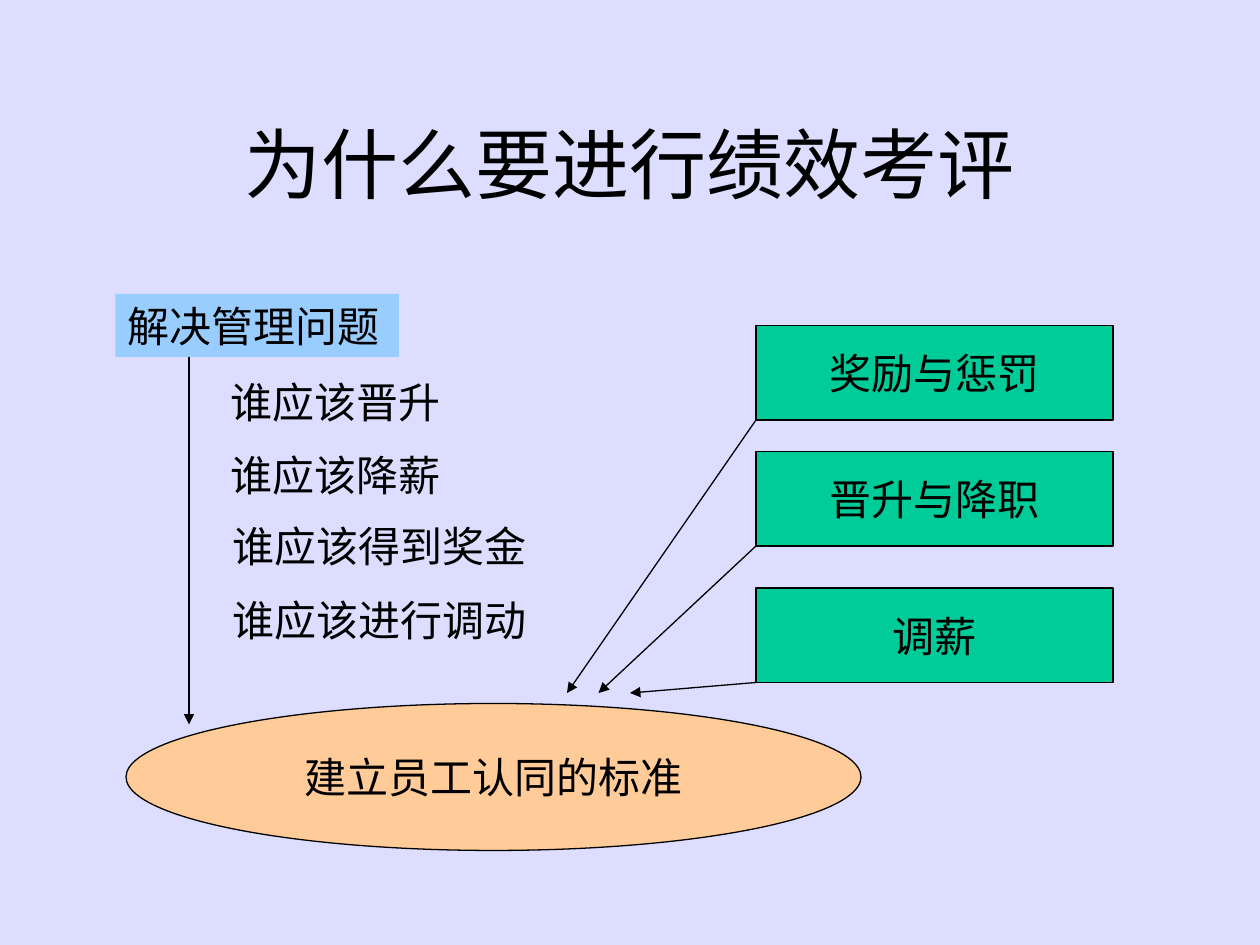
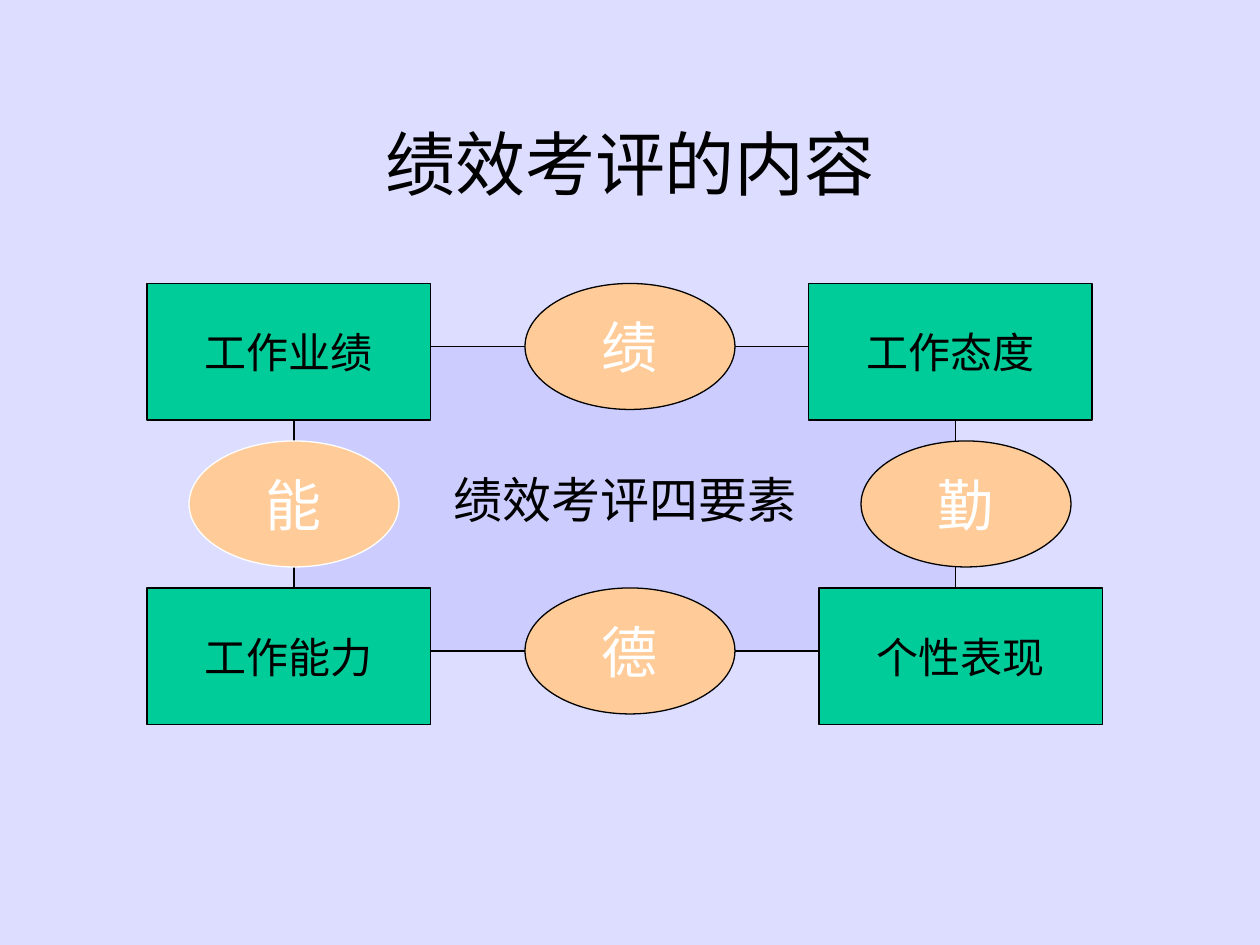
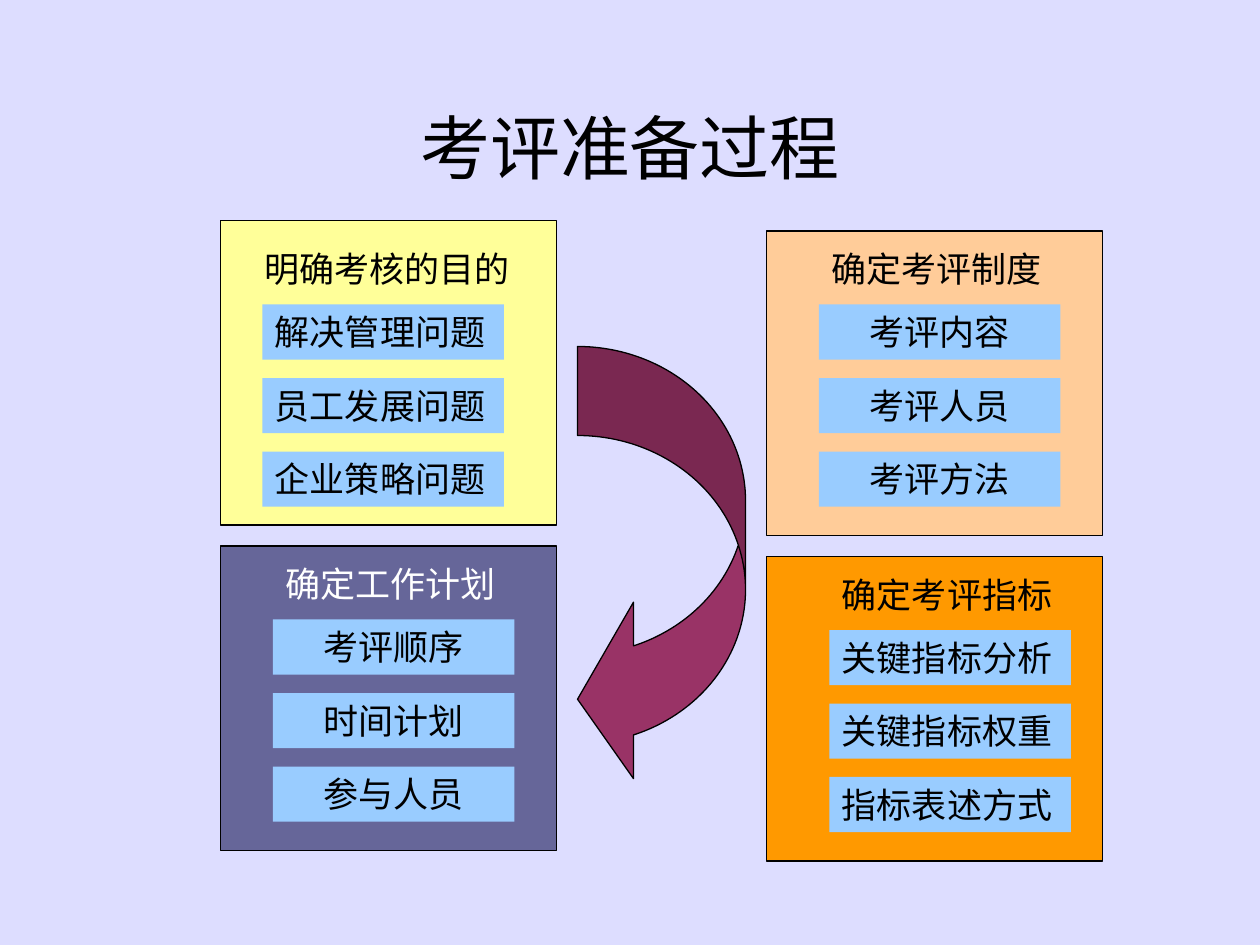
from dataclasses import dataclass

from lxml.etree import SubElement
from pptx import Presentation
from pptx.dml.color import RGBColor
from pptx.enum.shapes import MSO_CONNECTOR as Connector, MSO_SHAPE as Preset
from pptx.enum.text import MSO_ANCHOR as Anchor, MSO_AUTO_SIZE as AutoSize, PP_ALIGN as Align
from pptx.oxml.ns import qn
from pptx.util import Pt


@dataclass(frozen=True)
class Theme:
    font: str = "Times New Roman"
    background: str = "DDDDFF"
    ink: str = "000000"
    white: str = "FFFFFF"
    green: str = "00CC99"
    peach: str = "FFCC99"
    sky: str = "99CCFF"
    lavender: str = "CCCCFF"
    yellow: str = "FFFF99"
    slate: str = "666699"
    orange: str = "FF9900"
    plum: str = "993366"
    line: float = 0.75
    title_large: int = 44
    title: int = 40
    element: int = 32
    centre: int = 28
    body: int = 24
    small: int = 20


THEME = Theme()
INSET = 7.2
LABEL_SLACK = 2  # keeps a label's last character on its line

# Slide 1: why appraise
WHY_TITLE = "为什么要进行绩效考评"
PROBLEM = "解决管理问题"
QUESTIONS = [
    ("谁应该晋升", 124.5, 211.5),
    ("谁应该降薪", 124.5, 253.5),
    ("谁应该得到奖金", 126, 294),
    ("谁应该进行调动", 126, 336),
]
STANDARD = "建立员工认同的标准"
MEASURE_LEFT, MEASURE_WIDTH, MEASURE_HEIGHT = 432, 204, 54
ARROW_END_TOP = 396
MEASURES = [  # text, top, x of the arrow's end
    ("奖励与惩罚", 186, 324),
    ("晋升与降职", 258, 342),
    ("调薪", 336, 360),
]

# Slide 2: what is appraised
CONTENT_TITLE = "绩效考评的内容"
CENTRE = "绩效考评四要素"
ASPECTS = [
    ("工作业绩", 84, 162),
    ("工作态度", 462, 162),
    ("工作能力", 84, 336),
    ("个性表现", 468, 336),
]
ELEMENTS = [
    ("绩", 300, 162, THEME.ink),
    ("勤", 492, 252, THEME.ink),
    ("德", 300, 336, THEME.ink),
    ("能", 108, 252, THEME.white),
]

# Slide 3: preparation
PREPARE_TITLE = "考评准备过程"
CARD_WIDTH, CARD_HEIGHT = 192, 174
BAR_WIDTH, BAR_HEIGHT, BAR_STEP, HEADING_STEP = 138, 31.5, 42, 36
STEPS = [
    dict(heading="确定考评指标", card=(438, 318), heading_at=(474, 324), bar_left=474,
         fill=THEME.orange, color=THEME.ink, align=Align.LEFT,
         items=["关键指标分析", "关键指标权重", "指标表述方式"]),
    dict(heading="确定工作计划", card=(126, 312), heading_at=(156, 318), bar_left=156,
         fill=THEME.slate, color=THEME.white, align=Align.CENTER,
         items=["考评顺序", "时间计划", "参与人员"]),
    dict(heading="确定考评制度", card=(438, 132), heading_at=(468, 138), bar_left=468,
         fill=THEME.peach, color=THEME.ink, align=Align.CENTER,
         items=["考评内容", "考评人员", "考评方法"]),
    dict(heading="明确考核的目的", card=(126, 126), heading_at=(144, 138), bar_left=150,
         fill=THEME.yellow, color=THEME.ink, align=Align.LEFT,
         items=["解决管理问题", "员工发展问题", "企业策略问题"]),
]


def rgb(color):
    return RGBColor.from_string(color)


def write(shape, text, size, color=THEME.ink, align=Align.CENTER):
    paragraph = shape.text_frame.paragraphs[0]
    paragraph.alignment = align
    run = paragraph.add_run()
    run.text = text
    run.font.name = THEME.font
    run.font.size = Pt(size)
    run.font.color.rgb = rgb(color)


def add_titled_slide(presentation, text, size=THEME.title, height=90):
    slide = presentation.slides.add_slide(presentation.slide_layouts[5])
    title = slide.shapes.title
    title.left, title.top, title.width, title.height = Pt(54), Pt(48), Pt(612), Pt(height)
    title.text_frame.auto_size = AutoSize.NONE
    title.text_frame.vertical_anchor = Anchor.MIDDLE
    write(title, text, size)
    return slide


def add_figure(slide, preset, left, top, width, height, fill, line=THEME.ink):
    shape = slide.shapes.add_shape(preset, Pt(left), Pt(top), Pt(width), Pt(height))
    shape.shadow.inherit = False
    shape.fill.solid()
    shape.fill.fore_color.rgb = rgb(fill)
    if line:
        shape.line.color.rgb = rgb(line)
        shape.line.width = Pt(THEME.line)
    else:
        shape.line.fill.background()
    shape.text_frame.word_wrap = False
    return shape


def add_bar(slide, text, left, top, width, height, size, align=Align.LEFT):
    """Add a borderless blue strip whose text starts at the top."""
    bar = add_figure(slide, Preset.RECTANGLE, left, top, width, height, THEME.sky, None)
    bar.text_frame.word_wrap = True
    bar.text_frame.vertical_anchor = Anchor.TOP
    write(bar, text, size, align=align)


def add_label(slide, text, left, top, size, color=THEME.ink):
    """Add one line of text in a box as wide as its full-width characters."""
    width, height = len(text) * size + 2 * INSET + LABEL_SLACK, 1.2 * size + INSET
    label = slide.shapes.add_textbox(Pt(left), Pt(top), Pt(width), Pt(height))
    label.text_frame.word_wrap = False
    label.text_frame.auto_size = AutoSize.SHAPE_TO_FIT_TEXT
    write(label, text, size, color, Align.LEFT)


def add_arrow(slide, *ends):
    arrow = slide.shapes.add_connector(Connector.STRAIGHT, *map(Pt, ends))
    arrow.line.color.rgb = rgb(THEME.ink)
    arrow.line.width = Pt(THEME.line)
    SubElement(arrow.line._get_or_add_ln(), qn("a:tailEnd"), type="triangle")
    SubElement(arrow._element.spPr, qn("a:effectLst"))


def build_why(presentation):
    slide = add_titled_slide(presentation, WHY_TITLE, THEME.title_large)
    add_bar(slide, PROBLEM, 66, 168, 162, 36, THEME.body)
    for text, left, top in QUESTIONS:
        add_label(slide, text, left, top, THEME.body)
    standard = add_figure(slide, Preset.OVAL, 72, 402, 420, 84, THEME.peach)
    write(standard, STANDARD, THEME.body)
    for text, top, arrow_end in MEASURES:
        box = add_figure(slide, Preset.RECTANGLE, MEASURE_LEFT, top,
                         MEASURE_WIDTH, MEASURE_HEIGHT, THEME.green)
        write(box, text, THEME.body)
        add_arrow(slide, MEASURE_LEFT, top + MEASURE_HEIGHT, arrow_end, ARROW_END_TOP)
    add_arrow(slide, 108, 204, 108, 414)


def build_content(presentation):
    slide = add_titled_slide(presentation, CONTENT_TITLE)
    centre = add_figure(slide, Preset.RECTANGLE, 168, 198, 378, 174, THEME.lavender)
    write(centre, CENTRE, THEME.centre)
    for text, left, top in ASPECTS:
        box = add_figure(slide, Preset.RECTANGLE, left, top, 162, 78, THEME.green)
        write(box, text, THEME.body)
    for text, left, top, line in ELEMENTS:
        oval = add_figure(slide, Preset.OVAL, left, top, 120, 72, THEME.peach, line)
        write(oval, text, THEME.element, THEME.white)


def build_preparation(presentation):
    slide = add_titled_slide(presentation, PREPARE_TITLE, height=72)
    for step in STEPS:
        add_figure(slide, Preset.RECTANGLE, *step["card"], CARD_WIDTH, CARD_HEIGHT, step["fill"])
        heading_left, heading_top = step["heading_at"]
        add_label(slide, step["heading"], heading_left, heading_top, THEME.small, step["color"])
        for index, item in enumerate(step["items"]):
            top = heading_top + HEADING_STEP + index * BAR_STEP
            add_bar(slide, item, step["bar_left"], top, BAR_WIDTH, BAR_HEIGHT,
                    THEME.small, step["align"])
    arrow = add_figure(slide, Preset.CURVED_LEFT_ARROW, 330, 198, 96, 252, THEME.plum)
    for index, value in enumerate((0.53, 1.05, 1 / 3)):
        arrow.adjustments[index] = value


def main():
    presentation = Presentation()
    presentation.slide_width, presentation.slide_height = Pt(720), Pt(540)
    background = presentation.slide_master.background.fill
    background.solid()
    background.fore_color.rgb = rgb(THEME.background)
    build_why(presentation)
    build_content(presentation)
    build_preparation(presentation)
    presentation.save("out.pptx")


if __name__ == "__main__":
    main()
